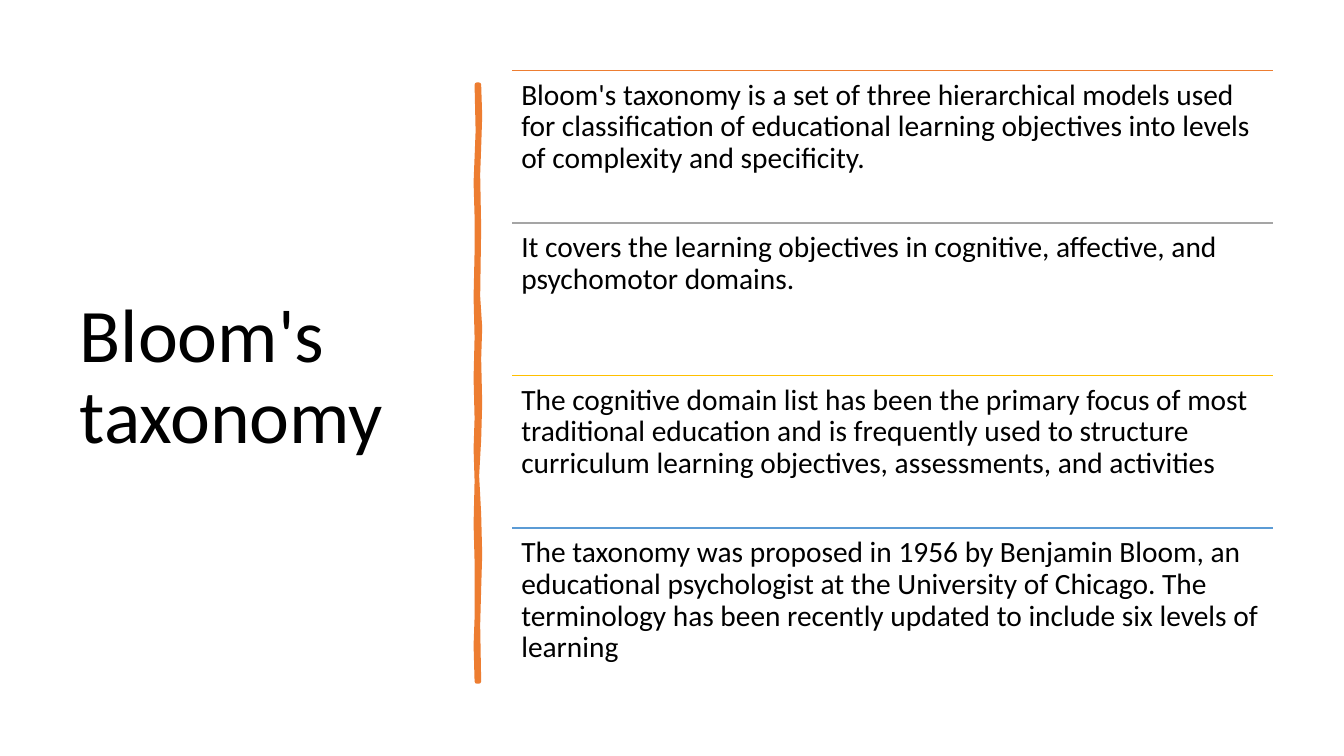
from lxml import etree
from pptx import Presentation
from pptx.dml.color import RGBColor
from pptx.enum import text
from pptx.oxml import ns
from pptx.util import Inches, Pt

BLACK = RGBColor(0x00, 0x00, 0x00)
ORANGE = RGBColor(0xED, 0x7D, 0x31)
GRAY = RGBColor(0xA5, 0xA5, 0xA5)
GOLD = RGBColor(0xFF, 0xC0, 0x00)
BLUE = RGBColor(0x5B, 0x9B, 0xD5)
FONT = "Calibri"

# Statement rows: equal steps down the right side
ROW_LEFT, ROW_TOP, ROW_WIDTH, ROW_STEP = 5.08, 0.7, 7.55, 1.513
STATEMENTS = [
    (ORANGE, "Bloom's taxonomy is a set of three hierarchical models used for "
             "classification of educational learning objectives into levels of "
             "complexity and specificity."),
    (GRAY, "It covers the learning objectives in cognitive, affective, and "
           "psychomotor domains."),
    (GOLD, "The cognitive domain list has been the primary focus of most "
           "traditional education and is frequently used to structure curriculum "
           "learning objectives, assessments, and activities"),
    (BLUE, "The taxonomy was proposed in 1956 by Benjamin Bloom, an educational "
           "psychologist at the University of Chicago. The terminology has been "
           "recently updated to include six levels of learning"),
]

# Hand-drawn divider: right edge downwards, then left edge upwards
DIVIDER_EDGE = [
    (4.75, 0.84), (4.76, 1.15), (4.75, 1.46), (4.74, 1.73), (4.75, 2.26),
    (4.74, 2.94), (4.76, 3.25), (4.75, 3.56), (4.76, 4.0), (4.75, 4.36),
    (4.73, 4.72), (4.75, 5.1), (4.76, 5.5), (4.75, 5.84), (4.74, 6.2),
    (4.75, 6.76), (4.73, 6.76), (4.72, 6.4), (4.73, 6.13), (4.73, 5.57),
    (4.72, 5.2), (4.73, 4.77), (4.72, 4.45), (4.73, 4.15), (4.72, 3.75),
    (4.73, 3.35), (4.72, 2.95), (4.73, 2.5), (4.73, 2.15), (4.72, 1.81),
    (4.74, 1.3), (4.73, 0.84),
]


def write_text(frame, content, size):
    frame.word_wrap = True
    frame.auto_size = text.MSO_AUTO_SIZE.NONE
    paragraph = frame.paragraphs[0]
    paragraph.alignment = text.PP_ALIGN.LEFT
    paragraph.line_spacing = 0.9
    run = paragraph.add_run()
    run.text = content
    run.font.name = FONT
    run.font.size = Pt(size)
    run.font.color.rgb = BLACK


def format_title(title):
    title.left, title.top = Inches(0.69), Inches(0.7)
    title.width, title.height = Inches(3.74), Inches(6.11)
    title.text_frame.vertical_anchor = text.MSO_ANCHOR.MIDDLE
    write_text(title.text_frame, "Bloom's taxonomy", 54)


def add_divider(slide):
    start, *rest = [(Inches(x), Inches(y)) for x, y in DIVIDER_EDGE]
    builder = slide.shapes.build_freeform(*start)
    builder.add_line_segments(rest, close=True)
    shape = builder.convert_to_shape()
    shape.shadow.inherit = False
    shape.fill.solid()
    shape.fill.fore_color.rgb = ORANGE
    shape.line.color.rgb = ORANGE
    shape.line.width = Pt(3.25)


def add_rule(slide, top, color):
    left, right = Inches(ROW_LEFT), Inches(ROW_LEFT + ROW_WIDTH)
    rule = slide.shapes.add_connector(1, left, top, right, top)
    rule.line.color.rgb = color
    rule.line.width = Pt(1)
    etree.SubElement(rule._element.spPr, ns.qn("a:effectLst"))


def add_statement(slide, top, content):
    box = slide.shapes.add_textbox(Inches(ROW_LEFT), top, Inches(ROW_WIDTH), Inches(ROW_STEP))
    frame = box.text_frame
    frame.margin_left = frame.margin_right = Inches(0.09)
    frame.margin_top = frame.margin_bottom = Inches(0.09)
    write_text(frame, content, 21)


def main():
    presentation = Presentation()
    presentation.slide_width, presentation.slide_height = Inches(13.33), Inches(7.5)
    slide = presentation.slides.add_slide(presentation.slide_layouts[5])

    # Title and divider
    format_title(slide.shapes.title)
    add_divider(slide)

    # Ruled statements
    for index, (color, content) in enumerate(STATEMENTS):
        top = Inches(ROW_TOP + index * ROW_STEP)
        add_rule(slide, top, color)
        add_statement(slide, top, content)

    presentation.save("out.pptx")


if __name__ == "__main__":
    main()
